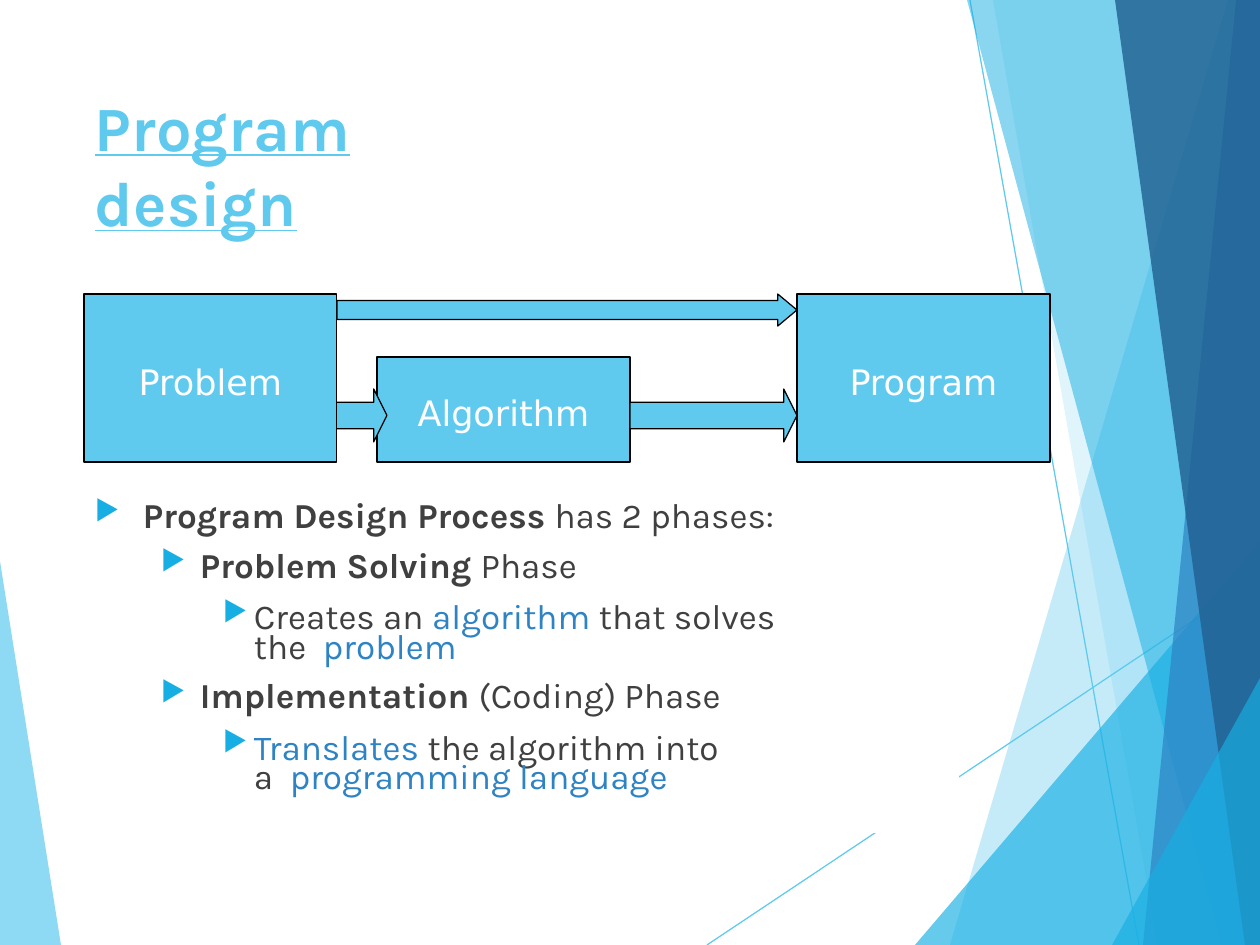
from lxml import etree
from pptx import Presentation
from pptx.dml.color import RGBColor
from pptx.enum.shapes import MSO_CONNECTOR, MSO_SHAPE
from pptx.enum.text import MSO_ANCHOR, MSO_AUTO_SIZE, PP_ALIGN
from pptx.oxml.ns import qn
from pptx.util import Emu, Pt

RECTANGLE, RIGHT_ARROW = MSO_SHAPE.RECTANGLE, MSO_SHAPE.RIGHT_ARROW
STRAIGHT = MSO_CONNECTOR.STRAIGHT
TOP, MIDDLE = MSO_ANCHOR.TOP, MSO_ANCHOR.MIDDLE
LEFT, CENTER = PP_ALIGN.LEFT, PP_ALIGN.CENTER
NO_FIT = MSO_AUTO_SIZE.NONE

SCALE = 914400 / 126
WIDTH, HEIGHT = 1260, 945
LINE_WIDTH = Pt(0.72)
COLORS = {
    "sky": "5FCAEE", "cyan": "17AFE3", "blue": "2D83C3", "navy": "226192",
    "white": "FFFFFF", "black": "000000", "text": "404040",
}

# Decoration: colour, opacity in percent, corner points
FACETS = [
    ("sky", 70, [(0, 561), (0, 945), (61, 945)]),
    ("sky", 36, [(1228, 0), (950, 945), (1260, 945), (1260, 0)]),
    ("sky", 20, [(1260, 0), (993, 0), (1158, 945), (1260, 945)]),
    ("cyan", 66, [(1260, 541), (915, 945), (1260, 945)]),
    ("cyan", 50, [(1260, 0), (967, 0), (1222, 945), (1260, 945)]),
    ("blue", 70, [(1260, 0), (1236, 0), (1143, 945), (1260, 945)]),
    ("navy", 82, [(1260, 0), (1115, 0), (1245, 945), (1260, 945)]),
    ("cyan", 66, [(1260, 678), (1112, 945), (1260, 945)]),
]
RAYS = [(707, 945, 1260, 576), (970, 0, 1139, 945)]
PANELS = [
    [(84, 84), (959, 84), (959, 266), (84, 266)],
    [(84, 297), (796, 297), (796, 462), (959, 462), (959, 833), (84, 833)],
]

# List: level, right margin, spans of (text, format)
BOLD, BLUE = {"bold": True}, {"color": "blue"}
PHASES = [
    (0, 0, [("Program Design Process ", BOLD), ("has 2 phases:", {})]),
    (1, 0, [("Problem Solving ", BOLD), ("Phase", {})]),
    (2, 20, [("Creates an ", {}), ("algorithm ", BLUE),
             ("that solves the ", {}), (" problem", BLUE)]),
    (1, 0, [("Implementation ", BOLD), ("(Coding) Phase", {})]),
    (2, 100, [("Translates ", BLUE), ("the algorithm into a  ", {}),
              ("programming language", BLUE)]),
]
# By level: left margin, hanging indent, space before, line spacing
LEVELS = [(48, 48, 5.8, 1.0), (105, 39, 4.8, 1.0), (159, 31, 12, 0.7)]


def px(length):
    return Emu(round(length * SCALE))


def rgb(name):
    return RGBColor.from_string(COLORS[name])


def add_span(para, text, size=20, font="Karla", color="text", bold=False,
             underline=False):
    span = para.add_run()
    span.text = text
    span.font.size = Pt(size)
    span.font.name = font
    span.font.bold = bold
    span.font.underline = underline
    span.font.color.rgb = rgb(color)


def set_frame(frame, top=0, anchor=TOP):
    frame.word_wrap = True
    frame.auto_size = NO_FIT
    frame.vertical_anchor = anchor
    frame.margin_left = frame.margin_right = frame.margin_bottom = 0
    frame.margin_top = px(top)


def add_polygon(page, points, color, opacity=100):
    builder = page.shapes.build_freeform(*points[0], scale=SCALE)
    builder.add_line_segments(points[1:], close=True)
    polygon = builder.convert_to_shape()
    polygon.shadow.inherit = False
    polygon.line.fill.background()
    polygon.fill.solid()
    polygon.fill.fore_color.rgb = rgb(color)
    if opacity < 100:
        fill_color = polygon.fill._xPr.find(qn("a:solidFill"))[0]
        etree.SubElement(fill_color, qn("a:alpha"), val=str(opacity * 1000))


def add_outlined(page, kind, left, top, width, height):
    shape = page.shapes.add_shape(kind, px(left), px(top), px(width), px(height))
    shape.shadow.inherit = False
    shape.fill.solid()
    shape.fill.fore_color.rgb = rgb("sky")
    shape.line.color.rgb = rgb("black")
    shape.line.width = LINE_WIDTH
    return shape


def add_step(page, text, left, top, width, height):
    step = add_outlined(page, RECTANGLE, left, top, width, height)
    set_frame(step.text_frame, top=6, anchor=MIDDLE)
    para = step.text_frame.paragraphs[0]
    para.alignment = CENTER
    add_span(para, text, font="DejaVu Sans", color="white")


def add_arrow(page, left, top, width, height, shaft, head):
    arrow = add_outlined(page, RIGHT_ARROW, left, top, width, height)
    arrow.adjustments[0] = shaft
    arrow.adjustments[1] = head


def draw_background(page):
    for color, opacity, points in FACETS[:1]:
        add_polygon(page, points, color, opacity)
    for x1, y1, x2, y2 in RAYS:
        ray = page.shapes.add_connector(STRAIGHT, px(x1), px(y1), px(x2), px(y2))
        ray.line.color.rgb = rgb("sky")
        ray.line.width = LINE_WIDTH
        etree.SubElement(ray._element.spPr, qn("a:effectLst"))
    for color, opacity, points in FACETS[1:]:
        add_polygon(page, points, color, opacity)
    for points in PANELS:
        add_polygon(page, points, "white")


def draw_title(page, left, top, width, height):
    title = page.shapes.title
    title.left, title.top = px(left), px(top)
    title.width, title.height = px(width), px(height)
    set_frame(title.text_frame, top=1)
    para = title.text_frame.paragraphs[0]
    para.alignment = LEFT
    para.space_before = Pt(1)
    add_span(para, "Program design", size=36, color="sky", bold=True,
             underline=True)
    page.shapes._spTree.append(title._element)  # in front of the panels


def draw_list(page, left, top, width, height):
    box = page.shapes.add_textbox(px(left), px(top), px(width), px(height))
    frame = box.text_frame
    set_frame(frame, top=10)
    for index, (level, right, spans) in enumerate(PHASES):
        para = frame.add_paragraph() if index else frame.paragraphs[0]
        margin, hanging, before, spacing = LEVELS[level]
        para.level = level
        para.line_spacing = spacing
        para.space_before = Pt(before)
        for text, style in spans:
            add_span(para, text, **style)
        # Triangle bullet
        props = para._p.get_or_add_pPr()
        props.set("marL", str(px(margin)))
        props.set("marR", str(px(right)))
        props.set("indent", str(-px(hanging)))
        bullet_color = etree.SubElement(props, qn("a:buClr"))
        etree.SubElement(bullet_color, qn("a:srgbClr"), val=COLORS["cyan"])
        etree.SubElement(props, qn("a:buSzPct"), val="80000")
        etree.SubElement(props, qn("a:buChar"), char="▶")


def draw_flow(page, left, top, width, height):
    step_width, low_height, low_left = 253, 105, left + 293
    last_left = left + width - step_width
    low_right = low_left + step_width
    add_step(page, "Algorithm", low_left, top + height - low_height,
             step_width, low_height)
    # Lower arrows through the algorithm
    for start, end in [(left + 225, low_left + 10), (low_right, last_left)]:
        add_arrow(page, start, top + 95, end - start, 53, 0.5, 0.25)
    add_step(page, "Problem", left, top, step_width, height)
    add_step(page, "Program", last_left, top, step_width, height)
    # Direct arrow
    add_arrow(page, left + step_width, top, last_left - left - step_width, 32,
              0.6, 0.6)


def main():
    deck = Presentation()
    deck.slide_width, deck.slide_height = px(WIDTH), px(HEIGHT)
    page = deck.slides.add_slide(deck.slide_layouts[5])
    draw_background(page)
    draw_title(page, 95, 87, 455, 79)
    draw_list(page, 95, 483, 731, 315)
    draw_flow(page, 84, 294, 966, 168)
    deck.save("out.pptx")


if __name__ == "__main__":
    main()
